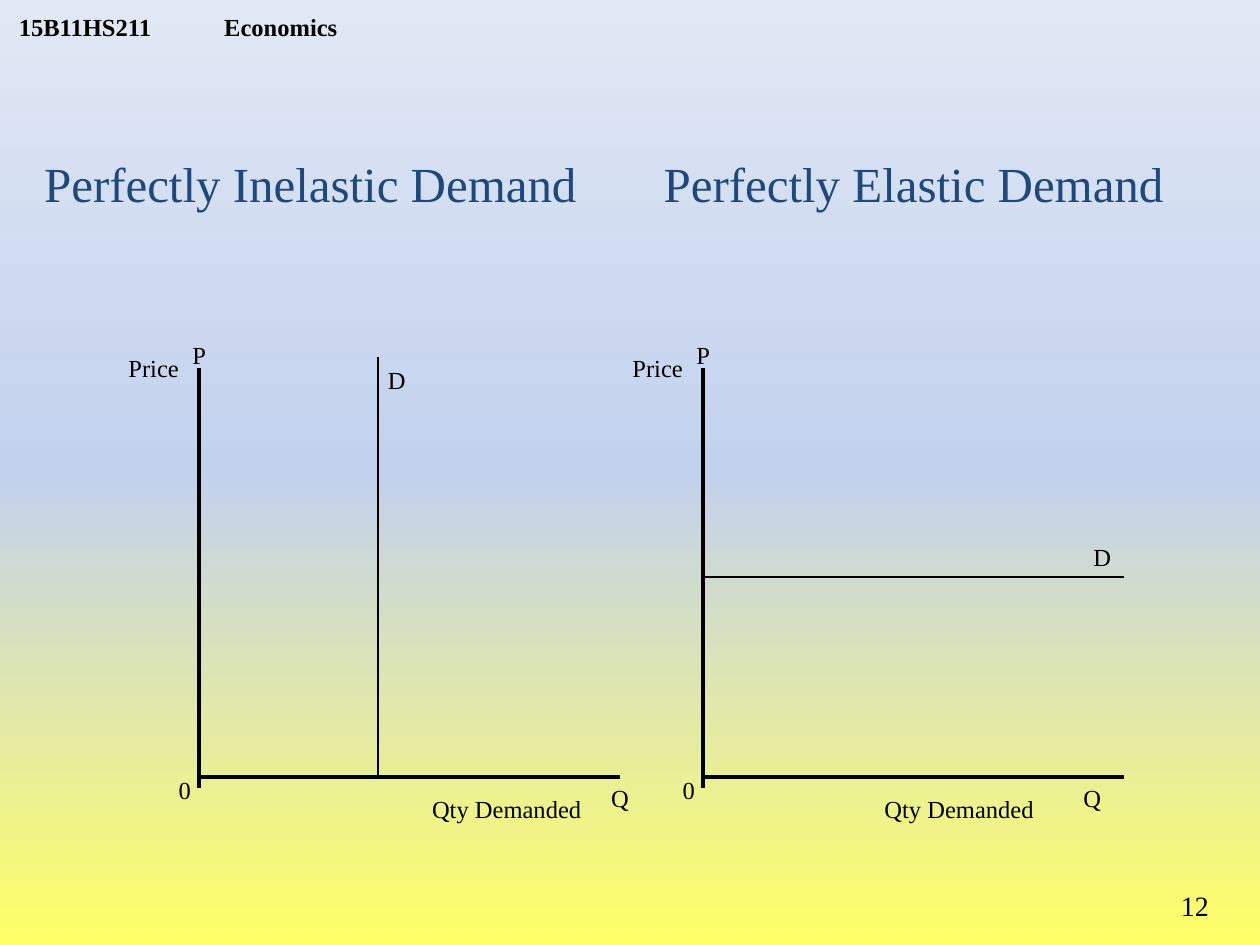
from copy import deepcopy
from lxml import etree
from pptx import Presentation
from pptx import util as u
from pptx.dml.color import RGBColor
from pptx.enum import shapes, text
from pptx.oxml.ns import qn

BLACK = RGBColor(0, 0, 0)
NAVY = RGBColor(0x1F, 0x49, 0x7D)
YELLOW = RGBColor(0xFF, 0xFF, 0x66)
BLUE = RGBColor(0xC2, 0xD1, 0xED)
PALE = RGBColor(0xE1, 0xE8, 0xF5)

SKY = [(0, YELLOW), (0.5, BLUE), (1, PALE)]
STEP = 10.16
LEFT, TOP, FOOT, BASE, WIDE = 4.01, 7.42, 15.88, 15.67, 8.48
LABELS = [
    ("Price", 2.34, 6.99, 1.52),
    ("0", 3.35, 15.49, 0.76),
    ("P", 3.63, 6.73, 0.79),
]
PANELS = [
    {
        "title": ("Perfectly Inelastic Demand", 0.64, 2.97, 11.25),
        "names": [("Qty Demanded", 8.46, 15.88, 3.53),
                  ("Q", 12.07, 15.67, 0.86),
                  ("D", 7.57, 7.24, 0.86)],
        "curve": (7.62, 7.19, 7.62, BASE),
    },
    {
        "title": ("Perfectly Elastic Demand", 13.13, 2.97, 10.59),
        "names": [("Qty Demanded", 17.58, 15.88, 3.53),
                  ("Q", 21.59, 15.67, 0.86),
                  ("D", 21.79, 10.8, 0.86)],
        "curve": (LEFT + STEP, 11.63, LEFT + STEP + WIDE, 11.63),
    },
]

deck = Presentation()
deck.slide_width, deck.slide_height = u.Cm(25.4), u.Cm(19.05)
slide = deck.slides.add_slide(deck.slide_layouts[6])


def paint(stops):
    fill = slide.background.fill
    fill.gradient()
    fill.gradient_angle = 90
    grid = slide.element.find(".//" + qn("a:gsLst"))
    grid.append(deepcopy(grid[0]))
    for stop, (spot, color) in zip(fill.gradient_stops, stops):
        stop.position, stop.color.rgb = spot, color


def label(words, x, y, w, h=0.84, size=14, color=BLACK, bold=None,
          frame=None, align=None, tab=None):
    box = slide.shapes.add_textbox(*map(u.Cm, (x, y, w, h))).text_frame
    look = frame or {"word_wrap": False,
                     "auto_size": text.MSO_AUTO_SIZE.SHAPE_TO_FIT_TEXT}
    for key, val in look.items():
        setattr(box, key, val)
    para = box.paragraphs[0]
    para.text = words
    if align:
        para.alignment = align
    if tab:
        tabs = etree.SubElement(para._p.get_or_add_pPr(), qn("a:tabLst"))
        etree.SubElement(tabs, qn("a:tab"), pos=str(u.Cm(tab)), algn="l")
    font = para.runs[0].font
    style = {"name": "Times New Roman", "size": u.Pt(size), "bold": bold}
    for key, val in style.items():
        setattr(font, key, val)
    font.color.rgb = color


def rule(ends, width):
    line = slide.shapes.add_connector(
        shapes.MSO_CONNECTOR.STRAIGHT, *map(u.Cm, ends))
    line.line.color.rgb = BLACK
    line.line.width = u.Pt(width)
    etree.SubElement(line._element.spPr, qn("a:effectLst"))


paint(SKY)
label("15B11HS211\tEconomics", 0.13, 0, 8.13, bold=True, tab=4.14,
      frame={"word_wrap": True, "margin_top": 0, "margin_bottom": 0,
             "vertical_anchor": text.MSO_ANCHOR.BOTTOM})

for i, panel in enumerate(PANELS):
    shift = i * STEP
    x = LEFT + shift
    rule((x, TOP, x, FOOT), 2.25)
    rule((x, BASE, x + WIDE, BASE), 2.25)
    rule(panel["curve"], 1.5)
    for name, left, top, width in LABELS:
        label(name, left + shift, top, width)
    for item in panel["names"]:
        label(*item)
    label(*panel["title"], h=1.45, size=28, color=NAVY)

label("12", 22.66, 17.78, 1.96, 1.02, size=16,
      frame={"word_wrap": True}, align=text.PP_ALIGN.RIGHT)

deck.save("out.pptx")
